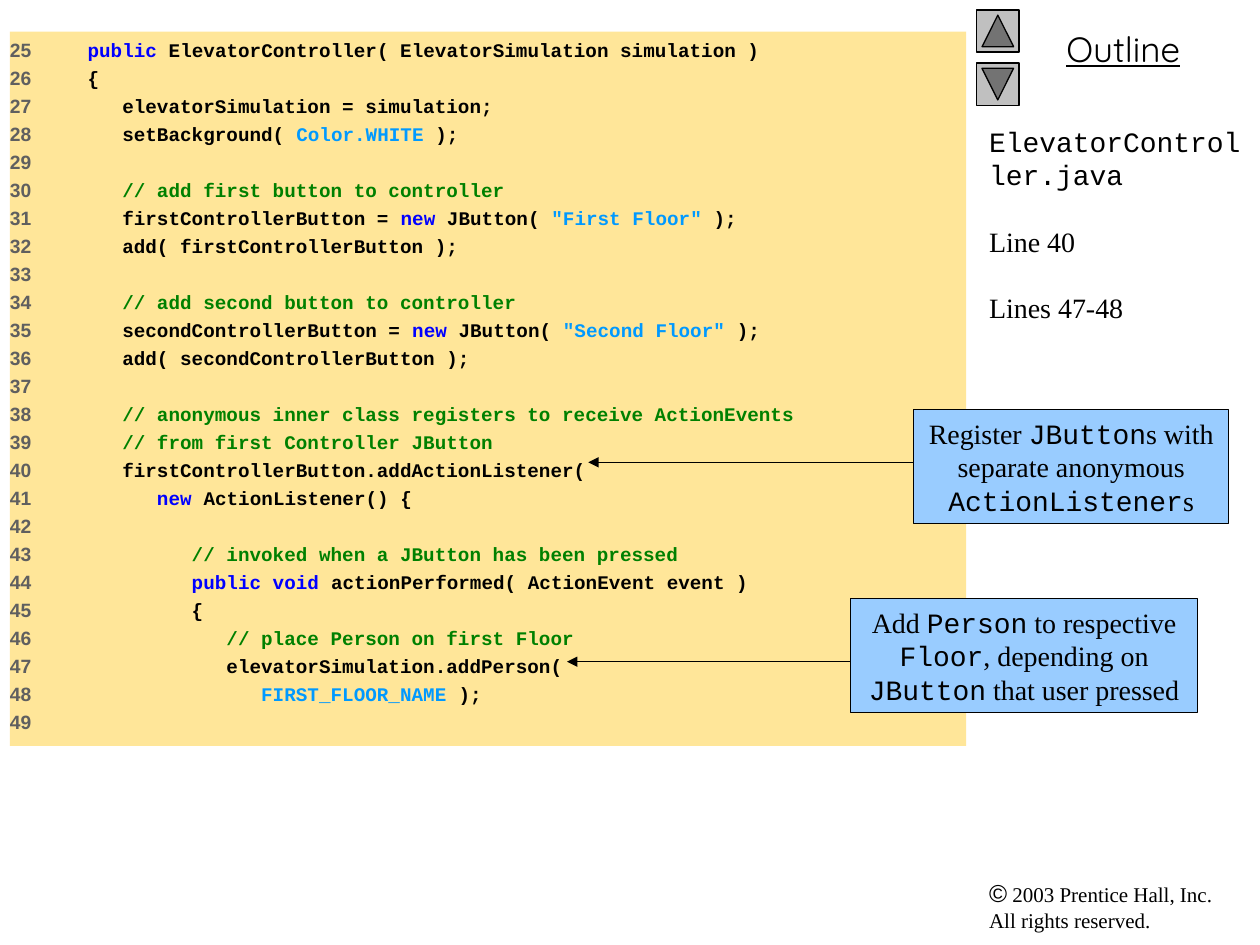
import pptx
import pptx.util
import pptx.dml.color
import pptx.enum.shapes
import pptx.enum.text
import pptx.oxml.ns
import lxml.etree

Cm = pptx.util.Cm
Pt = pptx.util.Pt
RGBColor = pptx.dml.color.RGBColor
SHAPE = pptx.enum.shapes.MSO_SHAPE
ALIGN = pptx.enum.text.PP_ALIGN
qn = pptx.oxml.ns.qn

BLACK = RGBColor(0x00, 0x00, 0x00)
GREY = RGBColor(0xC0, 0xC0, 0xC0)
PANEL = RGBColor(0xFF, 0xE6, 0x99)
CALLOUT = RGBColor(0x99, 0xCC, 0xFF)
NUMBER = RGBColor(0x5F, 0x5F, 0x5F)
KEYWORD = RGBColor(0x00, 0x00, 0xFF)
LITERAL = RGBColor(0x00, 0x99, 0xFF)
COMMENT = RGBColor(0x00, 0x80, 0x00)

SERIF, MONO, SANS, TITLE = "Times New Roman", "Courier New", "Arial", "Quicksand"

FIRST_LINE = 25
CODE = [
    [("   public", KEYWORD), (" ElevatorController( ElevatorSimulation simulation )", BLACK)],
    [("   {", BLACK)],
    [("      elevatorSimulation = simulation;", BLACK)],
    [("      setBackground( ", BLACK), ("Color.WHITE", LITERAL), (" );", BLACK)],
    [],
    [("      // add first button to controller", COMMENT)],
    [("      firstControllerButton = ", BLACK), ("new", KEYWORD), (" JButton( ", BLACK),
     ('"First Floor"', LITERAL), (" );", BLACK)],
    [("      add( firstControllerButton );", BLACK)],
    [],
    [("      // add second button to controller", COMMENT)],
    [("      secondControllerButton = ", BLACK), ("new", KEYWORD), (" JButton( ", BLACK),
     ('"Second Floor"', LITERAL), (" );", BLACK)],
    [("      add( secondControllerButton );", BLACK)],
    [],
    [("      // anonymous inner class registers to receive ActionEvents", COMMENT)],
    [("      // from first Controller JButton", COMMENT)],
    [("      firstControllerButton.addActionListener(", BLACK)],
    [("         new", KEYWORD), (" ActionListener() {", BLACK)],
    [],
    [("            // invoked when a JButton has been pressed", COMMENT)],
    [("            public void", KEYWORD), (" actionPerformed( ActionEvent event )", BLACK)],
    [("            {", BLACK)],
    [("               // place Person on first Floor", COMMENT)],
    [("               elevatorSimulation.addPerson(", BLACK)],
    [("                  FIRST_FLOOR_NAME", LITERAL), (" );", BLACK)],
    [],
]


def add_run(p, text, font, size, color=BLACK, bold=False):
    r = p.add_run()
    r.text = text
    r.font.name, r.font.size, r.font.bold = font, Pt(size), bold
    r.font.color.rgb = color
    return r


def add_text(slide, x, y, w, h):
    tf = slide.shapes.add_textbox(Cm(x), Cm(y), Cm(w), Cm(h)).text_frame
    tf.word_wrap = True
    return tf


def add_box(slide, kind, x, y, w, h, fill, outlined=True):
    sp = slide.shapes.add_shape(kind, Cm(x), Cm(y), Cm(w), Cm(h))
    sp.shadow.inherit = False
    sp.fill.solid()
    sp.fill.fore_color.rgb = fill
    if outlined:
        sp.line.color.rgb = BLACK
        sp.line.width = Pt(0.75)
    else:
        sp.line.fill.background()
    sp.text_frame.word_wrap = True
    return sp


def add_code_panel(slide, x, y, w, h):
    sp = add_box(slide, SHAPE.RECTANGLE, x, y, w, h, PANEL, outlined=False)
    tf = sp.text_frame
    tf.margin_left = 0
    tf.vertical_anchor = pptx.enum.text.MSO_ANCHOR.TOP
    for i, parts in enumerate(CODE):
        p = tf.add_paragraph() if i else tf.paragraphs[0]
        p.alignment = ALIGN.LEFT
        if i:
            p.space_before = Pt(2.8)
        gutter = "    " if parts else ""
        add_run(p, f"{FIRST_LINE + i}{gutter}", SANS, 11, NUMBER, True)
        for text, color in parts:
            add_run(p, text, MONO, 11, color, True)


def add_navigation(slide, x, y, w, h):
    # Up and down buttons
    size = 0.85
    for top, angle in ((y, 90), (y + h - size, 270)):
        sp = add_box(slide, SHAPE.ACTION_BUTTON_BACK_OR_PREVIOUS, x, top, size, size, GREY)
        sp.rotation = angle
    # Heading
    p = add_text(slide, x + 0.2, y + 0.23, w - 0.2, 1.12).paragraphs[0]
    p.alignment = ALIGN.CENTER
    add_run(p, "Outline", TITLE, 20).font.underline = True


def add_sidebar(slide, x, y, w, h):
    tf = add_text(slide, x, y, w, h)
    entries = [("ElevatorController.java", MONO), ("Line 40", SERIF), ("Lines 47-48", SERIF)]
    for i, (text, font) in enumerate(entries):
        p = tf.add_paragraph() if i else tf.paragraphs[0]
        p.line_spacing = Pt(19)
        if i:
            p.space_before = Pt(19)
        add_run(p, text, font, 16)


def add_copyright(slide, x, y, w, h):
    p = add_text(slide, x, y, w, h).paragraphs[0]
    add_run(p, "©", SANS, 14)
    add_run(p, " 2003 Prentice Hall, Inc.", SERIF, 12)
    p.add_line_break()
    add_run(p, "All rights reserved.", SERIF, 12)


def add_callout(slide, x, y, w, h, parts, reach, drop):
    """Explanation box with an arrow running left from its side, drop below its top."""
    sp = add_box(slide, SHAPE.RECTANGLE, x, y, w, h, CALLOUT)
    p = sp.text_frame.paragraphs[0]
    p.alignment = ALIGN.CENTER
    for text, font in parts:
        add_run(p, text, font, 16)
    # Arrow to the code line
    line = slide.shapes.add_connector(
        pptx.enum.shapes.MSO_CONNECTOR.STRAIGHT,
        Cm(x), Cm(y + drop), Cm(x - reach), Cm(y + drop))
    line.line.color.rgb = BLACK
    line.line.width = Pt(0.75)
    ln = line.line._get_or_add_ln()
    lxml.etree.SubElement(ln, qn("a:tailEnd"), type="triangle")
    lxml.etree.SubElement(line._element.spPr, qn("a:effectLst"))


def main():
    prs = pptx.Presentation()
    prs.slide_width, prs.slide_height = Cm(25.4), Cm(19.05)
    slide = prs.slides.add_slide(prs.slide_layouts[6])
    add_copyright(slide, 19.69, 17.58, 5.51, 1.37)
    add_navigation(slide, 19.69, 0.2, 5.71, 1.92)
    add_sidebar(slide, 19.69, 2.39, 5.71, 15.19)
    add_code_panel(slide, 0.2, 0.64, 19.28, 14.4)
    add_callout(slide, 18.42, 8.26, 6.35, 2.29, [
        ("Register ", SERIF), ("JButton", MONO), ("s with separate anonymous ", SERIF),
        ("ActionListener", MONO), ("s", SERIF)], reach=6.56, drop=1.06)
    add_callout(slide, 17.15, 12.07, 6.99, 2.29, [
        ("Add ", SERIF), ("Person", MONO), (" to respective ", SERIF), ("Floor", MONO),
        (", depending on ", SERIF), ("JButton", MONO), (" that user pressed", SERIF)],
        reach=5.72, drop=1.27)
    prs.save("out.pptx")


if __name__ == "__main__":
    main()
